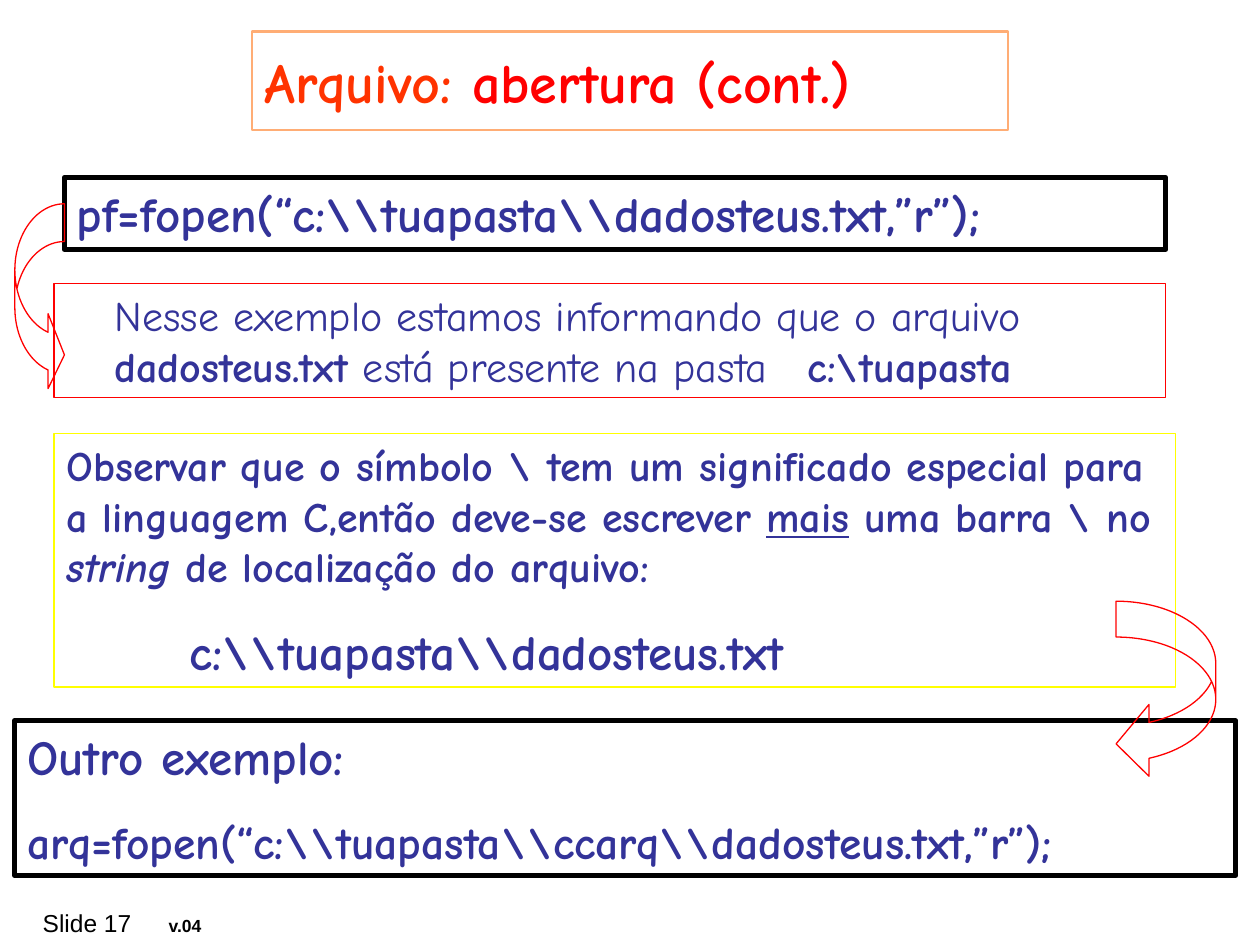
from dataclasses import dataclass

from lxml.etree import SubElement
from pptx import Presentation
from pptx.dml.color import RGBColor
from pptx.enum.shapes import MSO_SHAPE
from pptx.enum.text import MSO_ANCHOR, PP_ALIGN
from pptx.oxml.ns import qn
from pptx.util import Cm, Pt


@dataclass(frozen=True)
class Theme:
    font: str = "Comic Neue"
    footer_font: str = "Arial"
    text: RGBColor = RGBColor(0x33, 0x33, 0x99)
    black: RGBColor = RGBColor(0, 0, 0)
    red: RGBColor = RGBColor(0xFF, 0, 0)
    orange: RGBColor = RGBColor(0xFF, 0x33, 0)
    peach: RGBColor = RGBColor(0xFF, 0xAD, 0x75)
    yellow: RGBColor = RGBColor(0xFF, 0xFF, 0)
    title_size: int = 32
    code_size: int = 28
    long_code_size: int = 26
    body_size: int = 24
    footer_size: int = 14
    version_size: int = 10


theme = Theme()


def add_outline(kind, left, top, width, height, color=None, weight=0.75):
    """Add an unfilled shape, in centimetres; without a colour it has no line."""
    shape = page.shapes.add_shape(kind, Cm(left), Cm(top), Cm(width), Cm(height))
    shape.shadow.inherit = False
    shape.fill.background()
    if color is None:
        shape.line.fill.background()
    else:
        shape.line.color.rgb = color
        shape.line.width = Pt(weight)
    shape.text_frame.word_wrap = True
    shape.text_frame.vertical_anchor = MSO_ANCHOR.TOP
    return shape


def write(para, texts, size, color=theme.text, bold=True, font=theme.font,
          before=0, indent=0, tab=None):
    """Fill a paragraph and return its runs; indent and tab are in centimetres."""
    para.alignment = PP_ALIGN.LEFT
    para.space_before = Pt(before)
    properties = para._p.get_or_add_pPr()
    properties.set("marL", str(Cm(indent)))
    properties.set("indent", "0")
    if tab is not None:
        stops = SubElement(properties, qn("a:tabLst"))
        SubElement(stops, qn("a:tab"), pos=str(Cm(tab)), algn="l")
    para.font.name = font
    para.font.size = Pt(size)
    para.font.bold = bold
    para.font.color.rgb = color
    spans = []
    for text in texts:
        span = para.add_run()
        span.text = text
        spans.append(span)
    return spans


deck = Presentation()
deck.slide_width, deck.slide_height = Cm(25.4), Cm(19.05)
page = deck.slides.add_slide(deck.slide_layouts[5])

# Title
title = page.shapes.title
title.left, title.top, title.width, title.height = Cm(5.08), Cm(0.64), Cm(15.24), Cm(1.98)
title.line.color.rgb = theme.peach
title.line.width = Pt(1.5)
title.text_frame.vertical_anchor = MSO_ANCHOR.MIDDLE
topic, detail = write(title.text_frame.paragraphs[0], ["Arquivo: ", "abertura (cont.)"],
                      theme.title_size, theme.red)
topic.font.color.rgb = theme.orange

# Explanation of the first call
explanation = add_outline(MSO_SHAPE.RECTANGLE, 1.09, 5.72, 22.4, 2.29, theme.red)
explanation.text_frame.margin_left = Cm(1.22)
spans = write(explanation.text_frame.paragraphs[0],
              ["Nesse exemplo estamos informando que o arquivo ", "dadosteus.txt ",
               "está presente na pasta", "\tc:\\tuapasta"],
              theme.body_size, bold=False, tab=13.92)
for span in spans[1::2]:
    span.font.bold = True

# Note on the backslash
note = add_outline(MSO_SHAPE.RECTANGLE, 1.09, 8.74, 22.61, 5.11, theme.yellow)
spans = write(note.text_frame.paragraphs[0],
              ["Observar que o símbolo \\ tem um significado especial para a linguagem "
               "C,então deve-se escrever ", "mais", " uma barra \\ no ", "string",
               " de localização do arquivo:"], theme.body_size)
spans[1].font.underline = True
spans[3].font.italic = True
write(note.text_frame.add_paragraph(), [r"c:\\tuapasta\\dadosteus.txt"],
      theme.code_size, before=17.5, indent=2.48)

# Code examples
first_call = add_outline(MSO_SHAPE.RECTANGLE, 1.3, 3.58, 22.2, 1.45, theme.black, 3)
write(first_call.text_frame.paragraphs[0],
      [r"pf=fopen(“c:\\tuapasta\\dadosteus.txt,”r”);"], theme.code_size)

second_call = add_outline(MSO_SHAPE.RECTANGLE, 0.3, 14.53, 24.61, 3.12, theme.black, 3)
write(second_call.text_frame.paragraphs[0], ["Outro exemplo:"], theme.code_size)
write(second_call.text_frame.add_paragraph(),
      [r"arq=fopen(“c:\\tuapasta\\ccarq\\dadosteus.txt,”r”);"],
      theme.long_code_size, before=16.2)

# Curved arrows: position, then shaft width, head width and head length
arrows = [
    (MSO_SHAPE.CURVED_LEFT_ARROW, (22.5, 12.12, 2.01, 3.6), (0.36, 0.72, 0.33)),
    (MSO_SHAPE.CURVED_RIGHT_ARROW, (0.3, 4.11, 1, 3.8), (0.76, 1.51, 0.33)),
]
for kind, place, proportions in arrows:
    arrow = add_outline(kind, *place, theme.red)
    for index, proportion in enumerate(proportions):
        arrow.adjustments[index] = proportion

# Footer
footer = add_outline(MSO_SHAPE.ROUNDED_RECTANGLE, 0.69, 18.19, 3.8, 0.84)
footer.text_frame.vertical_anchor = MSO_ANCHOR.MIDDLE
footer.text_frame.margin_left = Cm(0.13)
footer.text_frame.margin_right = 0
number, version = write(footer.text_frame.paragraphs[0], ["Slide 17", "\tv.04"],
                        theme.footer_size, theme.black, bold=False,
                        font=theme.footer_font, tab=2.22)
version.font.size = Pt(theme.version_size)
version.font.bold = True

deck.save("out.pptx")
